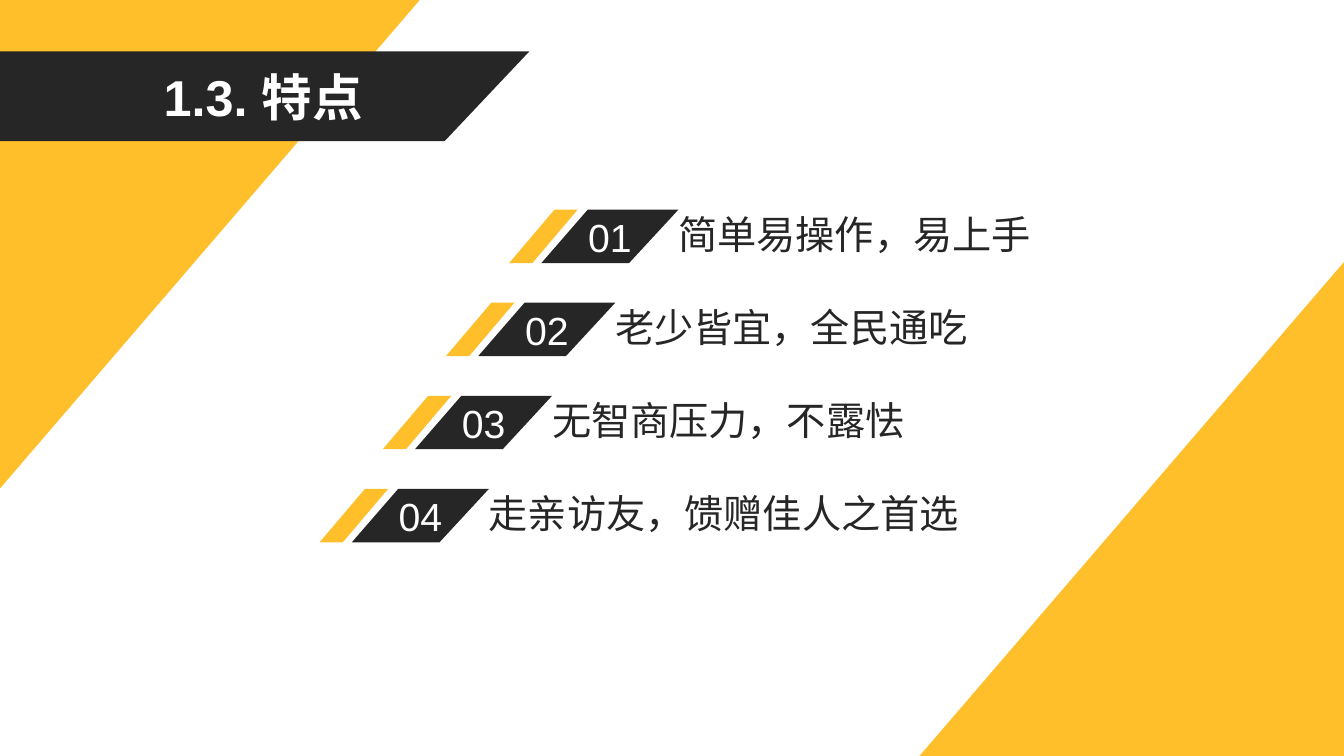
"""Build the 特点 slide: a title banner and four staggered, numbered features."""
import pptx
import pptx.dml.color
import pptx.enum.shapes
import pptx.enum.text
import pptx.util

Inches = pptx.util.Inches
YELLOW = pptx.dml.color.RGBColor(0xFF, 0xBF, 0x2B)
DARK = pptx.dml.color.RGBColor(0x26, 0x26, 0x26)
WHITE = pptx.dml.color.RGBColor(0xFF, 0xFF, 0xFF)
FONT = "Arial"

FEATURES = [
    "简单易操作，易上手",
    "老少皆宜，全民通吃",
    "无智商压力，不露怯",
    "走亲访友，馈赠佳人之首选",
]
FIRST_LEFT, FIRST_TOP = 5.05, 2.08
LAST_LEFT, LAST_TOP = 3.17, 4.85
TAG_HEIGHT = 0.53


def paint(shape, color):
    """Give a shape a flat fill with no outline or shadow."""
    shape.shadow.inherit = False
    shape.fill.solid()
    shape.fill.fore_color.rgb = color
    shape.line.fill.background()


def write(shape, text, size, color, bold=False):
    """Write one run of text in a shape and return its paragraph."""
    shape.text_frame.word_wrap = True
    paragraph = shape.text_frame.paragraphs[0]
    run = paragraph.add_run()
    run.text = text
    run.font.name = FONT
    run.font.size = pptx.util.Pt(size)
    run.font.bold = bold
    run.font.color.rgb = color
    return paragraph


def write_centred(shape, text, size, bold=False):
    """Write white text in the middle of a shape."""
    shape.text_frame.vertical_anchor = pptx.enum.text.MSO_ANCHOR.MIDDLE
    paragraph = write(shape, text, size, WHITE, bold)
    paragraph.alignment = pptx.enum.text.PP_ALIGN.CENTER


def add_corner(slide, left, top, rotation=0):
    """Add a yellow corner triangle, mirrored left to right."""
    corner = slide.shapes.add_shape(
        pptx.enum.shapes.MSO_SHAPE.RIGHT_TRIANGLE,
        Inches(left), Inches(top), Inches(4.21), Inches(4.9))
    corner.rotation = rotation
    corner._element.spPr.xfrm.set("flipH", "1")
    paint(corner, YELLOW)


def add_slanted(slide, top, height, top_edge, bottom_edge, color):
    """Add a four-sided band from the left and right ends of its two edges."""
    bottom = top + height
    points = [(top_edge[0], top), (top_edge[1], top),
              (bottom_edge[1], bottom), (bottom_edge[0], bottom)]
    corners = [(Inches(x), Inches(y)) for x, y in points]
    builder = slide.shapes.build_freeform(*corners[0])
    builder.add_line_segments(corners[1:], close=True)
    band = builder.convert_to_shape()
    paint(band, color)
    return band


def add_feature(slide, left, top, number, text):
    """Add a feature with its yellow stripe, numbered tag and wording."""
    caption = slide.shapes.add_textbox(
        Inches(left + 1.58), Inches(top + 0.01), Inches(5.33), Inches(0.57))
    write(caption, text, 28, DARK).line_spacing = 0.9
    add_slanted(slide, top, TAG_HEIGHT,
                (left + 0.45, left + 0.68), (left, left + 0.23), YELLOW)
    tag = add_slanted(slide, top, TAG_HEIGHT,
                      (left + 0.78, left + 1.68), (left + 0.32, left + 1.19), DARK)
    write_centred(tag, f"{number:02d}", 28)


def main():
    """Build and save the slide."""
    deck = pptx.Presentation()
    deck.slide_width, deck.slide_height = Inches(13.33), Inches(7.5)
    slide = deck.slides.add_slide(deck.slide_layouts[6])

    add_corner(slide, 9.12, 2.6)
    add_corner(slide, -0.03, -0.02, rotation=180)
    banner = add_slanted(slide, 0.51, 0.89, (-0.03, 5.25), (-0.03, 4.41), DARK)
    write_centred(banner, "1.3. 特点", 36, bold=True)

    gaps = len(FEATURES) - 1
    step_left = (LAST_LEFT - FIRST_LEFT) / gaps
    step_top = (LAST_TOP - FIRST_TOP) / gaps
    for index, text in enumerate(FEATURES):
        add_feature(slide, FIRST_LEFT + index * step_left,
                    FIRST_TOP + index * step_top, index + 1, text)

    deck.save("out.pptx")


if __name__ == "__main__":
    main()
